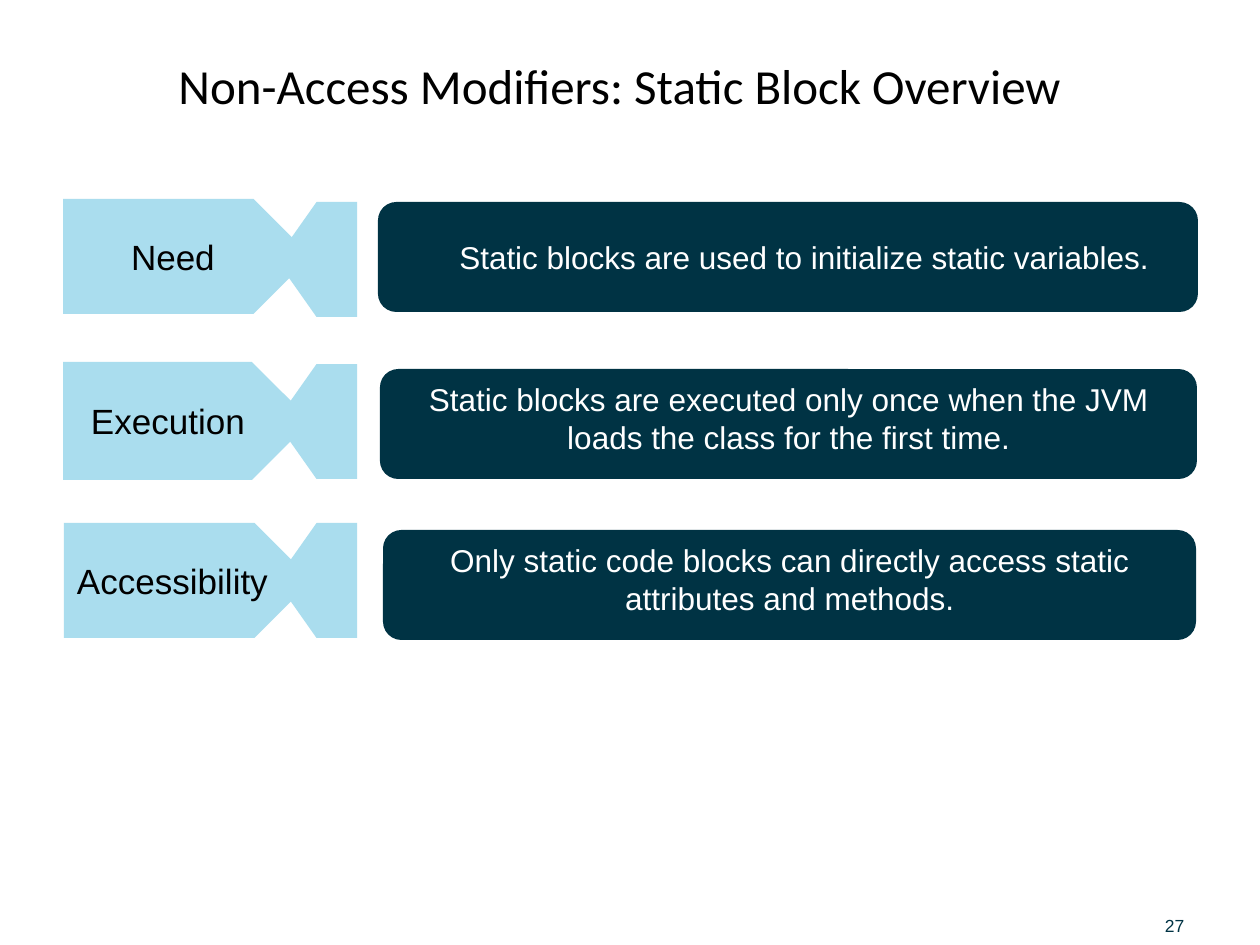
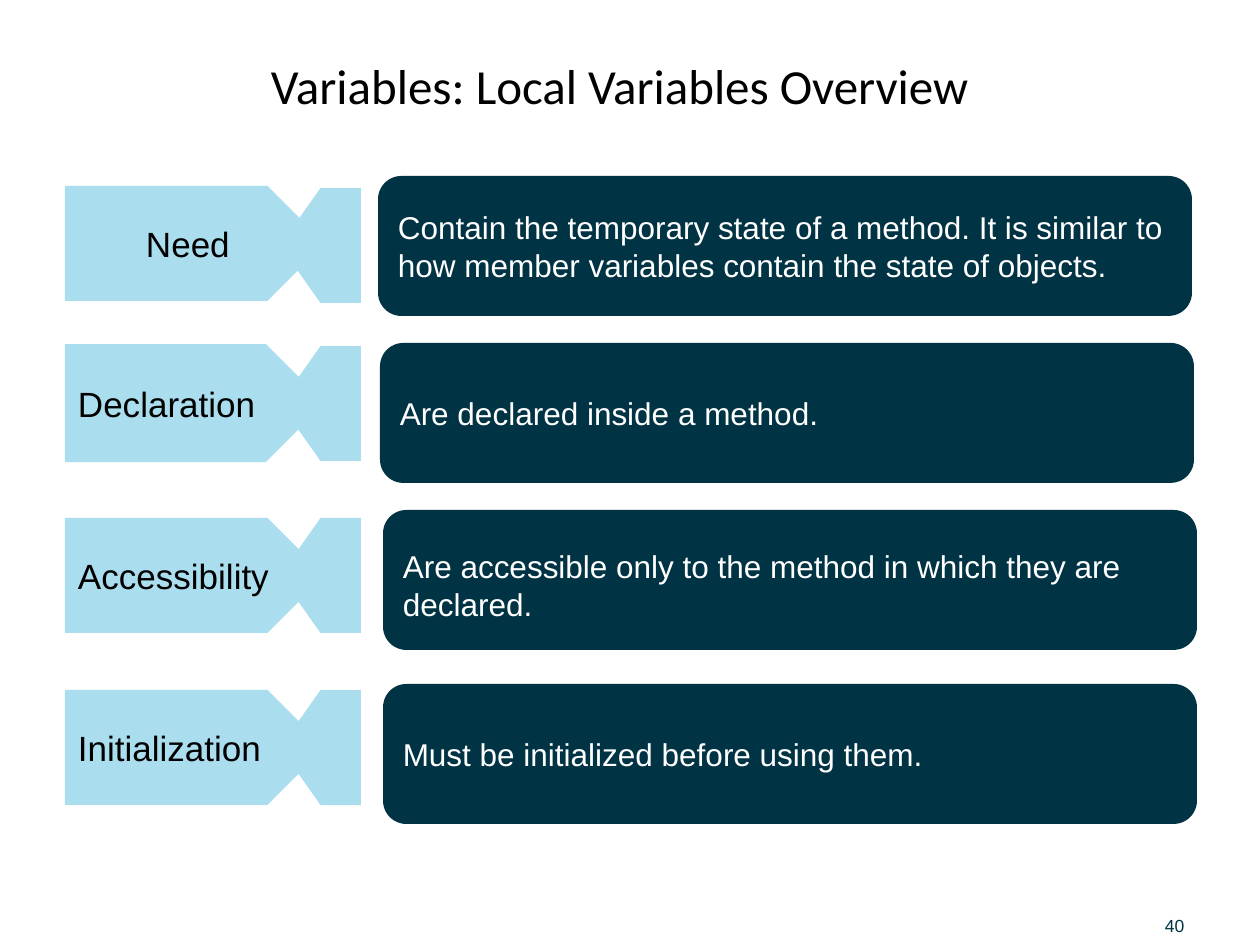
from dataclasses import dataclass

from pptx import Presentation
from pptx.dml.color import RGBColor
from pptx.enum.shapes import MSO_SHAPE
from pptx.enum.text import MSO_ANCHOR, PP_ALIGN
from pptx.util import Pt

PX = 914400 / 126
WIDE, HIGH = 1260, 945

NAVY = RGBColor(0x00, 0x33, 0x44)
SKY = RGBColor(0xAA, 0xDD, 0xEE)
WHITE = RGBColor(0xFF, 0xFF, 0xFF)
BLACK = RGBColor(0x00, 0x00, 0x00)

PLATE, ROUND = MSO_SHAPE.PENTAGON, MSO_SHAPE.ROUNDED_RECTANGLE
LEFT, CENTER = PP_ALIGN.LEFT, PP_ALIGN.CENTER
TOP, MIDDLE, BOTTOM = MSO_ANCHOR.TOP, MSO_ANCHOR.MIDDLE, MSO_ANCHOR.BOTTOM

TITLE_BOX = (63, 25, 1113, 120)
PAGE_BOX = (1165, 901, 87, 35)
PAD = 13
TAIL_W, TAIL_H = 81, 115


@dataclass
class Row:
    label: str
    text: str
    tag: tuple
    tail: tuple  # left and top
    card: tuple
    tag_align: PP_ALIGN = LEFT
    tag_indent: int = 0
    align: PP_ALIGN = LEFT
    indent: int = 0
    anchor: MSO_ANCHOR = MIDDLE
    drop: int = 0  # extra top margin of the card


STATIC = [
    Row("Need", "Static blocks are used to initialize static variables.",
        (63, 199, 248, 115), (276, 202), (378, 202, 820, 110),
        tag_align=CENTER, indent=63),
    Row("Execution", "Static blocks are executed only once when the JVM "
        "loads the class for the first time.",
        (63, 362, 248, 118), (276, 364), (380, 369, 817, 110),
        tag_indent=15, align=CENTER, anchor=TOP),
    Row("Accessibility", "Only static code blocks can directly access static "
        "attributes and methods.",
        (64, 523, 248, 115), (276, 523), (383, 530, 813, 110),
        align=CENTER, anchor=TOP),
]
LOCAL = [
    Row("Need", "Contain the temporary state of a method. It is similar to "
        "how member variables contain the state of objects.",
        (65, 186, 260, 115), (280, 188), (378, 176, 814, 140), tag_indent=68),
    Row("Declaration", "Are declared inside a method.",
        (65, 344, 260, 118), (280, 346), (380, 343, 814, 140)),
    Row("Accessibility", "Are accessible only to the method in which they are "
        "declared.",
        (65, 518, 260, 115), (280, 518), (383, 510, 814, 140), drop=10),
    Row("Initialization", "Must be initialized before using them.",
        (65, 690, 260, 115), (280, 690), (383, 684, 814, 140)),
]
DECK = [
    ("Non-Access Modifiers: Static Block Overview", STATIC, "27"),
    ("Variables: Local Variables Overview", LOCAL, "40"),
]


def emu(*sizes):
    return [round(size * PX) for size in sizes]


def write(shape, text, size, color, font="Arial", align=LEFT, anchor=MIDDLE):
    frame = shape.text_frame
    frame.text = text
    frame.word_wrap = True
    frame.vertical_anchor = anchor
    line = frame.paragraphs[0]
    line.alignment = align
    face = line.runs[0].font
    face.name, face.size, face.color.rgb = font, Pt(size), color
    return frame


def block(slide, kind, box, fill):
    shape = slide.shapes.add_shape(kind, *emu(*box))
    shape.shadow.inherit = False
    shape.fill.solid()
    shape.fill.fore_color.rgb = fill
    shape.line.fill.background()
    return shape


def add_card(slide, box, row):
    card = block(slide, ROUND, box, NAVY)
    frame = write(card, row.text, 18, WHITE, align=row.align, anchor=row.anchor)
    frame.margin_left, = emu(PAD + row.indent)
    frame.margin_top, = emu(6 + row.drop)


def add_tag(slide, box, row):
    """Label plate with the plate that points back at it."""
    tag = block(slide, PLATE, box, SKY)
    frame = write(tag, row.label, 20, BLACK, align=row.tag_align)
    frame.margin_left, = emu(PAD + row.tag_indent)
    tail = block(slide, PLATE, (*row.tail, TAIL_W, TAIL_H), SKY)
    tail.rotation = 180


def add_title(slide, box, text):
    title = slide.shapes.title
    title.left, title.top, title.width, title.height = emu(*box)
    write(title, text, 28, BLACK, "Calibri", CENTER)


def add_page(slide, box, number):
    page = slide.shapes.add_textbox(*emu(*box))
    frame = write(page, number, 10, NAVY, anchor=BOTTOM)
    frame.margin_left = frame.margin_right = 0
    frame.margin_top = frame.margin_bottom = 0


def add_slide(deck, title, rows, number):
    slide = deck.slides.add_slide(deck.slide_layouts[5])
    add_title(slide, TITLE_BOX, title)
    for row in rows:
        add_card(slide, row.card, row)
        add_tag(slide, row.tag, row)
    add_page(slide, PAGE_BOX, number)


def main():
    deck = Presentation()
    deck.slide_width, deck.slide_height = emu(WIDE, HIGH)
    for title, rows, number in DECK:
        add_slide(deck, title, rows, number)
    deck.save("out.pptx")


if __name__ == "__main__":
    main()
